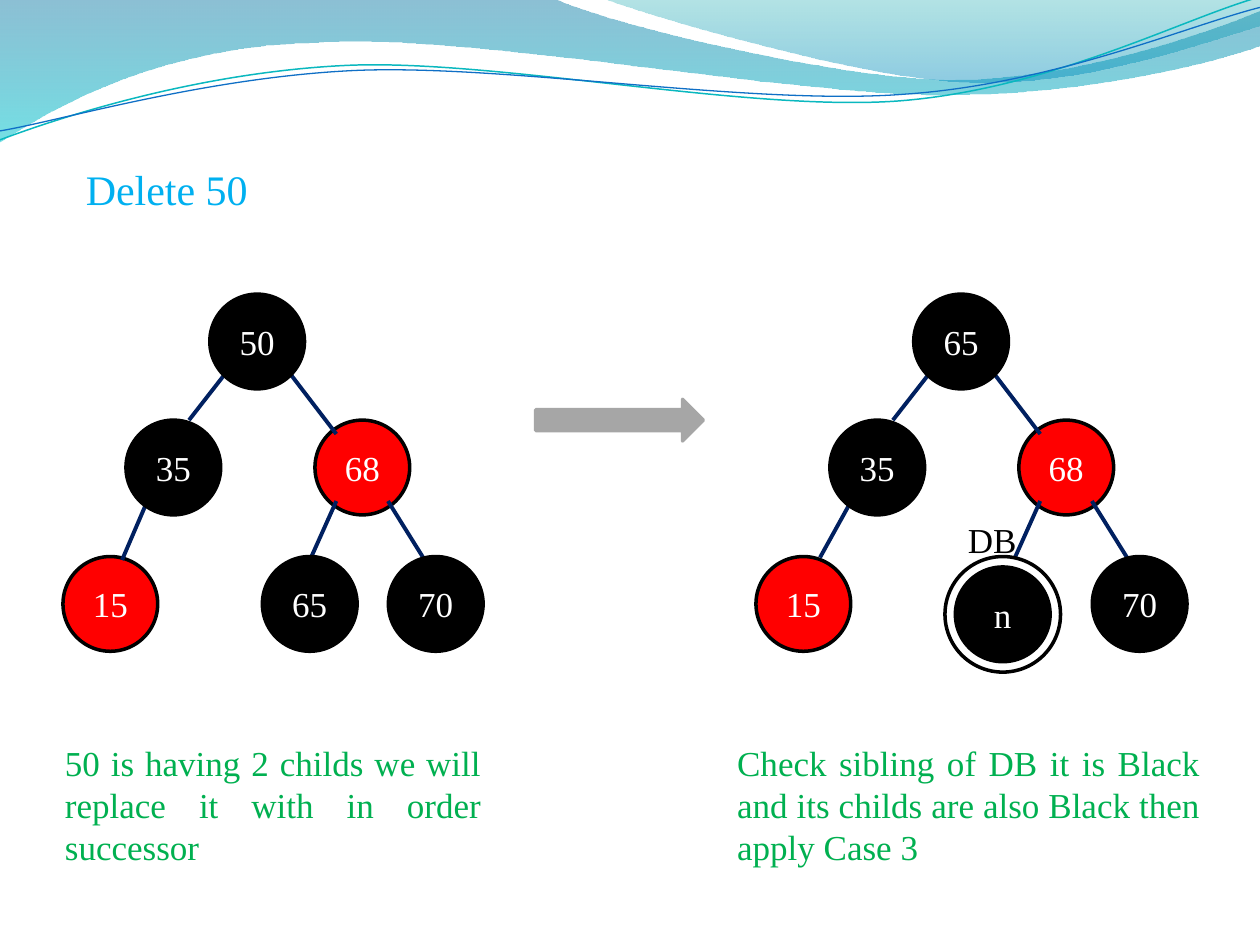
from itertools import chain
from lxml.etree import SubElement as Sub
from pptx import Presentation
from pptx.dml.color import RGBColor
from pptx.enum.shapes import MSO_CONNECTOR as Link, MSO_SHAPE as Kind
from pptx.enum.text import MSO_ANCHOR as Anchor, PP_ALIGN as Align
from pptx.oxml.ns import qn
from pptx.util import Cm, Pt

BLACK = RGBColor(0, 0, 0)
WHITE = RGBColor(255, 255, 255)
RED = RGBColor(255, 0, 0)
NAVY = RGBColor(0x00, 0x20, 0x60)
GRAY = RGBColor(0xA6, 0xA6, 0xA6)
SKY = RGBColor(0x00, 0xB0, 0xF0)
GREEN = RGBColor(0x00, 0xB0, 0x50)
TEAL = RGBColor(0x0A, 0xB8, 0xBF)
BLUE = RGBColor(0x0F, 0x6F, 0xC6)
DEEP = RGBColor(0x00, 0x74, 0xA1)
AQUA = RGBColor(0x00, 0xC6, 0xCF)
SEA = RGBColor(0x00, 0xA1, 0xA9)
AZURE = RGBColor(0x00, 0x8B, 0xBF)

SIZE = 1.91
ROOT, LEFT, RIGHT = (2.96, 0), (1.27, 2.54), (5.08, 2.54)
LOW, LAST = (4.02, 5.29), (6.56, 5.29)
LINKS = [
    ((4.6, 1.63), (5.51, 2.82)),
    ((6.55, 4.17), (7.26, 5.31)),
    ((3.25, 1.63), (2.54, 2.54)),
    ((5.51, 4.17), (5, 5.31)),
]

BAND = [
    [(0, 0)], [(11.18, -0.02)],
    [(12.09, 0.43), (16.87, 1.6), (19.25, 1.6)],
    [(21.67, 1.6), (24.33, 0.66), (25.4, 0.23)],
    [(25.43, 0.91)],
    [(24.97, 1.12), (22.1, 1.93), (18.95, 1.91)],
    [(15.8, 1.91), (9.7, 0.71), (6.53, 0.86)],
    [(3.28, 0.91), (1.17, 2.11), (-0.02, 2.87)],
]
CREST = [
    [(12.17, -0.02)],
    [(12.93, 0.28), (17.32, 1.57), (19.53, 1.65)],
    [(21.84, 1.75), (24.41, 0.81), (25.4, 0.53)],
    [(25.4, 0)],
]
UPPER = [
    [(-0.05, 2.22)],
    [(1.19, 1.82), (4.02, 1.04), (7.05, 1.05)],
    [(10.05, 1.07), (15.02, 2.37), (18.08, 2.29)],
    [(21.13, 2.2), (23.87, 0.91), (25.41, 0.55)],
]
LOWER = [
    [(-0.04, 2.04)],
    [(1.16, 1.9), (4.18, 1.15), (7.2, 1.16)],
    [(10.25, 1.18), (15.13, 2.25), (18.19, 2.16)],
    [(21.21, 2.1), (23.93, 1.06), (25.45, 0.75)],
]


def write(frame, text, size=20, color=WHITE, align=Align.LEFT, wrap=True):
    """Put formatted text into a text frame."""
    frame.word_wrap = wrap
    para = frame.paragraphs[0]
    para.alignment = align
    run = para.add_run()
    run.text = text
    run.font.name = "Times New Roman"
    run.font.size = Pt(size)
    run.font.color.rgb = color


def label(slide, x, y, w, h, text, **form):
    """Add a text box."""
    box = slide.shapes.add_textbox(Cm(x), Cm(y), Cm(w), Cm(h))
    write(box.text_frame, text, **form)


def shape(slide, kind, x, y, w, h, fill, edge=BLACK):
    """Add a filled and outlined preset shape."""
    item = slide.shapes.add_shape(kind, Cm(x), Cm(y), Cm(w), Cm(h))
    item.shadow.inherit = False
    item.fill.solid()
    item.fill.fore_color.rgb = fill
    item.line.color.rgb = edge
    item.line.width = Pt(2)
    return item


def node(slide, x, y, text, fill):
    """Add one tree node."""
    frame = shape(slide, Kind.OVAL, x, y, SIZE, SIZE, fill).text_frame
    frame.vertical_anchor = Anchor.MIDDLE
    write(frame, text, align=Align.CENTER)


def edge(slide, x, y, start, end):
    """Join two points given relative to a tree corner."""
    (ax, ay), (bx, by) = start, end
    line = slide.shapes.add_connector(
        Link.STRAIGHT, Cm(x + ax), Cm(y + ay), Cm(x + bx), Cm(y + by))
    line.line.color.rgb = NAVY
    line.line.width = Pt(2.25)
    Sub(line._element.spPr, qn("a:effectLst"))


def tree(slide, x, y, nodes, links):
    """Draw red nodes, then links, then black nodes."""
    for fill in (RED, BLACK):
        for (dx, dy), text, tone in nodes:
            if tone == fill:
                node(slide, x + dx, y + dy, text, fill)
        if fill == RED:
            for start, end in links:
                edge(slide, x, y, start, end)


def outline(slide, parts, close):
    """Build a freeform whose three-point parts are cubic curves."""
    dots = [(x * 100, y * 100) for x, y in chain(*parts)]
    form = slide.shapes.build_freeform(*dots[0], scale=Cm(0.01))
    form.add_line_segments(dots[1:], close=close)
    item = form.convert_to_shape()
    item.shadow.inherit = False
    lines = iter(list(item._element.spPr.iter(qn("a:lnTo"))))
    for part in parts[1:]:
        first, *rest = [next(lines) for _ in part]
        if rest:
            curve = first.makeelement(qn("a:cubicBezTo"))
            first.addprevious(curve)
            for line in (first, *rest):
                curve.append(line[0])
                line.getparent().remove(line)
    return item


def wave(slide, parts, stops):
    """Add a wave with a clear vertical gradient."""
    item = outline(slide, parts, True)
    item.line.fill.background()
    item.fill.gradient()
    item.fill.gradient_angle = 270
    for stop, place, (color, _) in zip(item.fill.gradient_stops, (0, 1), stops):
        stop.position = place
        stop.color.rgb = color
    tones = item._element.spPr.iter(qn("a:srgbClr"))
    for tone, (_, alpha) in zip(list(tones), stops):
        Sub(tone, qn("a:alpha"), val=str(alpha * 1000))


def strand(slide, parts, color, width):
    """Add a thin tilted curve."""
    item = outline(slide, parts, False)
    item.rotation = 357.3
    item.fill.background()
    item.line.color.rgb = color
    item.line.width = Pt(width)


def header(slide):
    """Draw the waves at the top of the slide."""
    wave(slide, BAND, [(DEEP, 45), (AQUA, 55)])
    wave(slide, CREST, [(SEA, 30), (AZURE, 45)])
    strand(slide, UPPER, TEAL, 0.85)
    strand(slide, LOWER, BLUE, 0.75)


def before(slide, x, y):
    """Draw the tree before deletion and its caption."""
    tree(slide, x, y, [
        (ROOT, "50", BLACK), (LEFT, "35", BLACK), (RIGHT, "68", RED),
        ((0, 5.29), "15", RED), (LOW, "65", BLACK), (LAST, "70", BLACK),
    ], LINKS + [((1.7, 4.17), (1.19, 5.36))])
    label(slide, x - 0.21, y + 8.89, 8.89, 2.82,
          "50 is having 2 childs we will replace it with in order successor",
          color=GREEN, align=Align.JUSTIFY)


def after(slide, x, y):
    """Draw the tree after deletion and its caption."""
    tree(slide, x, y, [
        (ROOT, "65", BLACK), (LEFT, "35", BLACK), (RIGHT, "68", RED),
        ((-0.22, 5.29), "15", RED), (LAST, "70", BLACK),
    ], LINKS + [((1.7, 4.17), (1.07, 5.31))])
    shape(slide, Kind.OVAL, x + 3.59, y + 5.29, 2.33, 2.33, WHITE)
    node(slide, x + 3.8, y + 5.5, "n", BLACK)
    label(slide, x + 3.8, y + 4.4, 1.5, 1.11, "DB", color=BLACK, wrap=False)
    label(slide, x - 0.85, y + 8.89, 9.83, 2.82,
          "Check sibling of DB it is Black and its childs are also Black "
          "then apply Case 3", color=GREEN, align=Align.JUSTIFY)


def main():
    """Build and save the slide."""
    deck = Presentation()
    deck.slide_width, deck.slide_height = Cm(25.4), Cm(19.05)
    slide = deck.slides.add_slide(deck.slide_layouts[6])
    header(slide)
    label(slide, 1.48, 3.18, 3.81, 1.27, "Delete 50",
          size=24, color=SKY, wrap=False)
    before(slide, 1.27, 5.93)
    shape(slide, Kind.RIGHT_ARROW, 10.8, 8.05, 3.38, 0.84, GRAY, GRAY)
    after(slide, 15.46, 5.93)
    deck.save("out.pptx")


if __name__ == "__main__":
    main()
